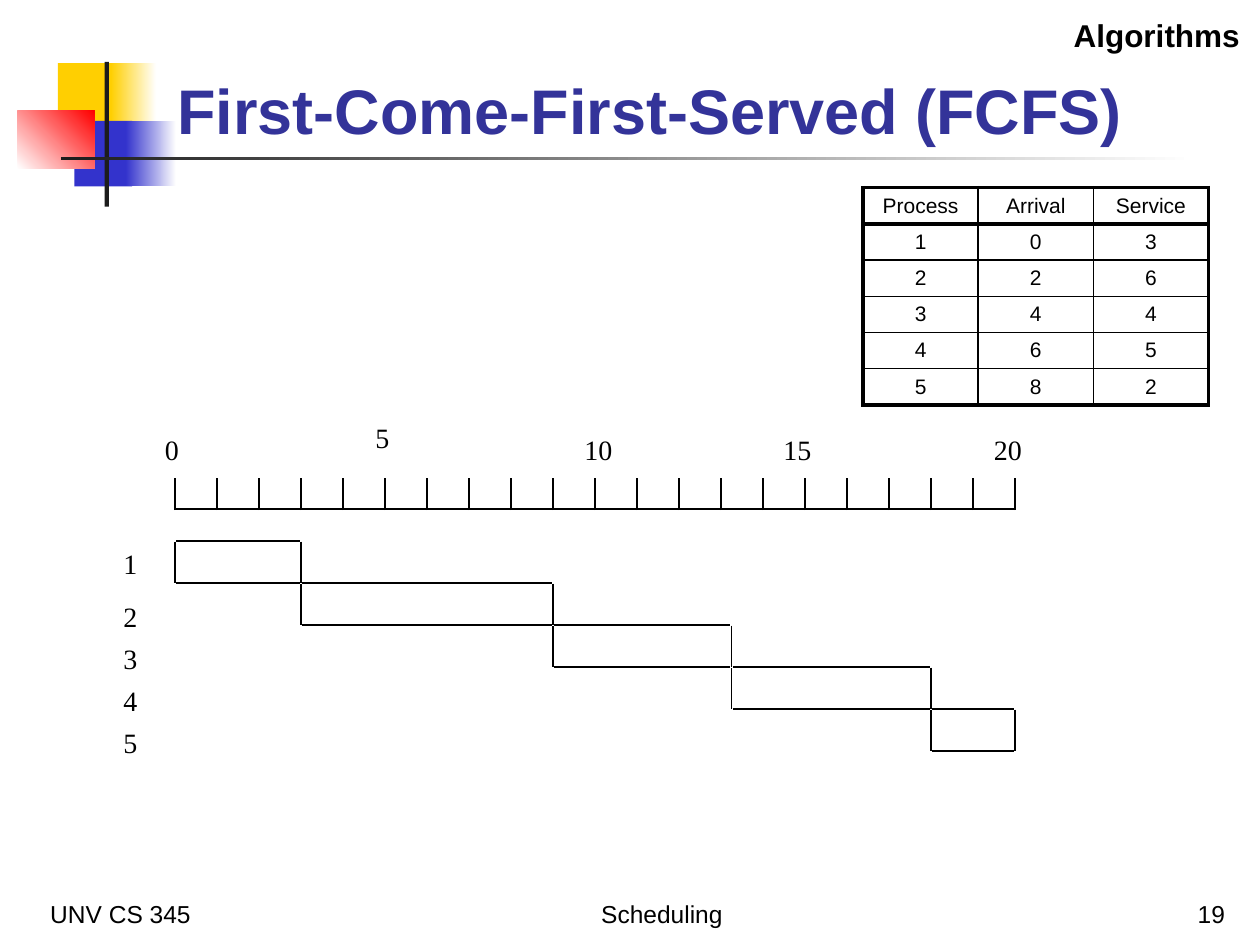
"""Build the First-Come-First-Served scheduling slide."""
import pptx
import pptx.util
import pptx.dml.color
import pptx.enum.shapes
import pptx.enum.text
import pptx.oxml
import pptx.oxml.ns

Pt = pptx.util.Pt
ALIGN = pptx.enum.text.PP_ALIGN
ANCHOR = pptx.enum.text.MSO_ANCHOR
BLACK, WHITE = "000000", "FFFFFF"
SERIF = "Times New Roman"

LOGO = [
    (33.1, 36, 34.6, 37.4, ["FFCF01"], 0),
    (63.4, 36, 25.9, 37.4, ["FFCF01", WHITE], 0),
    (42.5, 69.1, 33.1, 37.4, ["3333CC"], 0),
    (72, 69.1, 28.8, 37.4, ["3333CC", WHITE], 0),
    (10.1, 63.4, 43.9, 33.1, [WHITE, "FF0000"], 45),
    (59.8, 35.3, 2.5, 82.8, ["1C1C1C"], 0),
    (34.6, 89.5, 648, 2.2, ["1C1C1C", WHITE], 0),
]
FOOT = [
    ("UNV CS 345", 21.6, 149.8, ALIGN.LEFT),
    ("Scheduling", 264.2, 228.2, ALIGN.CENTER),
    ("19", 557.3, 149.8, ALIGN.RIGHT),
]
JOBS = [
    ("Process", "Arrival", "Service"),
    (1, 0, 3),
    (2, 2, 6),
    (3, 4, 4),
    (4, 6, 5),
    (5, 8, 2),
]
SCALE = [
    ("0", 87.1, 243.4, 22.3),
    ("5", 207.4, 236.9, 22.3),
    ("10", 326.9, 243.4, 30.2),
    ("15", 440.6, 243.4, 30.2),
    ("20", 560.9, 243.4, 30.2),
]
EDGES = [0, 3, 9, 13.25, 18, 20]
NAMES = [("1", 309), ("2", 339), ("3", 363), ("4", 387), ("5", 411)]
LEFT, UNIT, TOP, AXIS = 100, 24, 309, 291

deck = pptx.Presentation()
deck.slide_width, deck.slide_height = Pt(720), Pt(540)
slide = deck.slides.add_slide(deck.slide_layouts[6])
shapes = slide.shapes


def tint(code):
    return pptx.dml.color.RGBColor.from_string(code)


def write(frame, text, size=16, font=SERIF, color=BLACK, bold=False,
          align=ALIGN.LEFT, anchor=ANCHOR.TOP, wrap=True):
    frame.word_wrap = wrap
    frame.vertical_anchor = anchor
    para = frame.paragraphs[0]
    para.alignment = align
    run = para.add_run()
    run.text = str(text)
    run.font.size, run.font.name, run.font.bold = Pt(size), font, bold
    run.font.color.rgb = tint(color)


def label(text, x, y, w, h, **style):
    box = shapes.add_textbox(Pt(x), Pt(y), Pt(w), Pt(h))
    write(box.text_frame, text, **style)


def block(x, y, w, h, colors, angle):
    kind = pptx.enum.shapes.MSO_SHAPE.RECTANGLE
    shape = shapes.add_shape(kind, Pt(x), Pt(y), Pt(w), Pt(h))
    shape.shadow.inherit = False
    shape.line.fill.background()
    if len(colors) == 1:
        shape.fill.solid()
        shape.fill.fore_color.rgb = tint(colors[0])
        return
    shape.fill.gradient()
    shape.fill.gradient_angle = angle
    for stop, code in zip(shape.fill.gradient_stops, colors):
        stop.color.rgb = tint(code)


def rule(x1, y1, x2, y2):
    kind = pptx.enum.shapes.MSO_CONNECTOR.STRAIGHT
    line = shapes.add_connector(kind, Pt(x1), Pt(y1), Pt(x2), Pt(y2))
    line.line.width = Pt(1)
    line.line.color.rgb = tint(BLACK)
    pptx.oxml.ns.qn("a:effectLst")
    line.shadow.inherit = False if hasattr(line, "shadow") else None


def border(cell, sides):
    props = cell._tc.get_or_add_tcPr()
    space = pptx.oxml.ns.nsdecls("a")
    for spot, (side, width) in enumerate(sides.items()):
        props.insert(spot, pptx.oxml.parse_xml(
            f'<a:ln{side} {space} w="{Pt(width)}"><a:solidFill>'
            f'<a:srgbClr val="{BLACK}"/></a:solidFill></a:ln{side}>'))


def grid(rows, x, y, w, h):
    last, end = len(rows) - 1, len(rows[0]) - 1
    table = shapes.add_table(last + 1, end + 1, Pt(x), Pt(y), Pt(w), Pt(h)).table
    for row in table.rows:
        row.height = Pt(h / len(rows))
    for r, row in enumerate(rows):
        for c, value in enumerate(row):
            cell = table.cell(r, c)
            cell.margin_top = cell.margin_bottom = Pt(2)
            cell.vertical_anchor = ANCHOR.MIDDLE
            write(cell.text_frame, value, size=12, font="Arial",
                  align=ALIGN.CENTER, anchor=None, wrap=None)
            cell.fill.solid()
            cell.fill.fore_color.rgb = tint(WHITE)
            border(cell, {
                "L": 2.25 if c == 0 else 1,
                "R": 2.25 if c == end else 1,
                "T": 2.25 if r < 2 else 1,
                "B": 2.25 if r in (0, last) else 1,
            })


def ruler():
    rule(LEFT + 0.75, AXIS, LEFT + 20 * UNIT - 0.75, AXIS)
    for tick in range(21):
        x = LEFT + tick * UNIT
        rule(x, AXIS + 0.5, x, AXIS - 18)
    for text, x, y, w in SCALE:
        label(text, x, y, w, 25.9, wrap=False)


def chart():
    for row, (start, stop) in enumerate(zip(EDGES, EDGES[1:])):
        x1, x2 = LEFT + start * UNIT, LEFT + stop * UNIT
        y1, y2 = TOP + row * UNIT, TOP + (row + 1) * UNIT
        for x in (x1, x2):
            rule(x, y1 + 0.5, x, y2)
        for y in (y1, y2):
            rule(x1 + 0.75, y, x2 - 0.75, y)
    for text, y in NAMES:
        label(text, 63.4, y, 22.3, 25.9, wrap=False)


def main():
    for part in LOGO:
        block(*part)
    for text, x, w, align in FOOT:
        label(text, x, 498.2, w, 36, size=14, font="Arial",
              align=align, anchor=ANCHOR.BOTTOM)
    ruler()
    chart()
    label("First-Come-First-Served (FCFS)", 94.3, 37.4, 573.8, 49.7, size=36,
          font="Arial", color="333399", bold=True, anchor=ANCHOR.MIDDLE)
    grid(JOBS, 493.2, 107.2, 197.4, 124.2)
    label("Algorithms", 509, 5.8, 206.6, 28.8, size=18, font="Arial",
          bold=True, align=ALIGN.RIGHT)
    deck.save("out.pptx")


if __name__ == "__main__":
    main()
